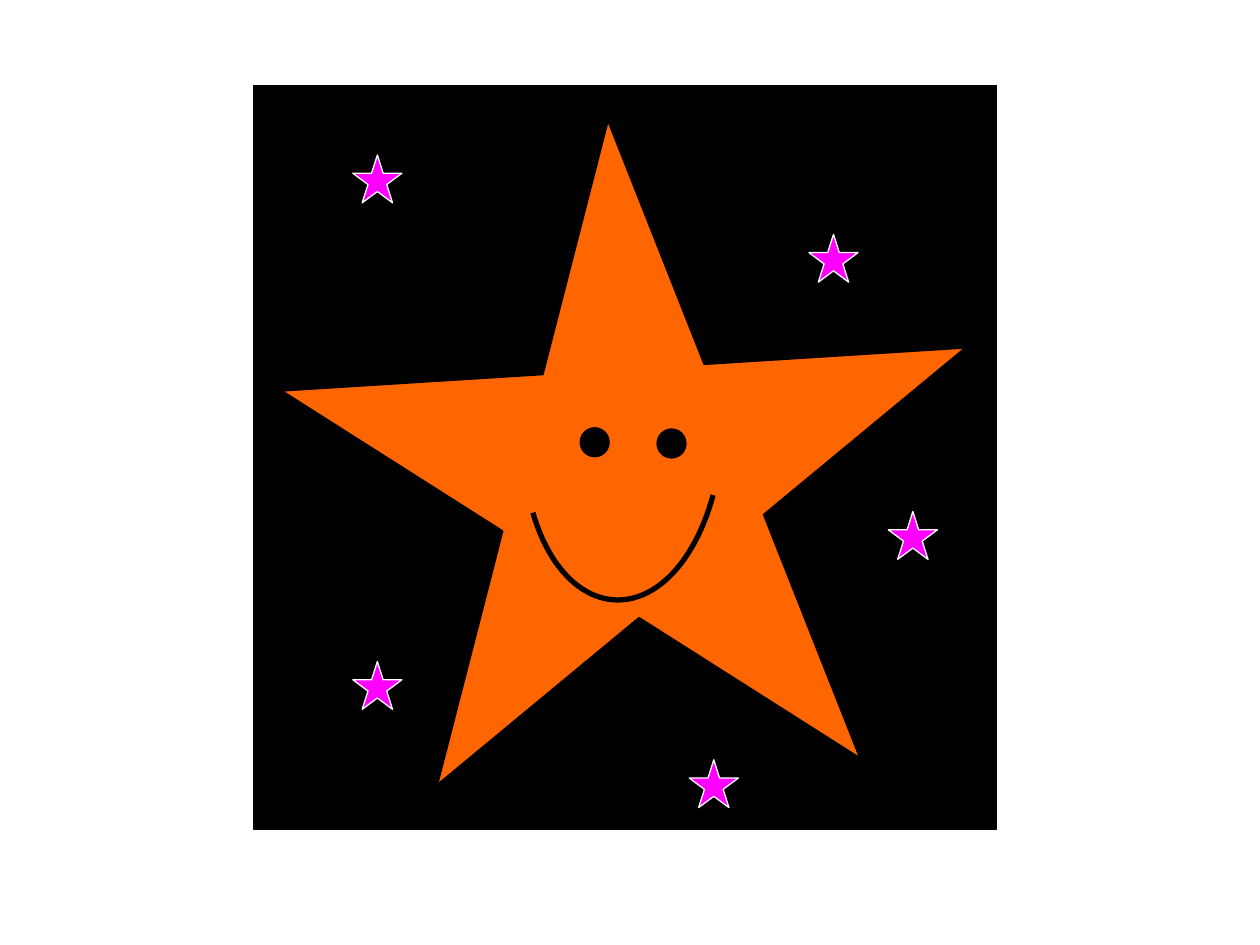
"""Build a slide with a smiling orange star among small pink stars."""
import pptx
import pptx.dml.color
import pptx.enum.shapes
import pptx.util

Inches = pptx.util.Inches
SHAPE = pptx.enum.shapes.MSO_SHAPE

COLORS = {"night": "000000", "star": "FF6600", "twinkle": "FF00FF", "edge": "FFFFFF"}
SKY = (2.01, 0.68, 5.9, 5.9)
BIG_STAR = (2.02, 1.16, 5.44, 5.17)
BIG_STAR_TURN = 284.4
EYE_SIZE = 0.24
EYES = [(5.21, 3.4), (4.6, 3.39)]
SMILE_CURVES = [
    [(5.66, 3.93), (5.53, 4.41), (5.26, 4.73), (4.95, 4.76)],
    [(4.95, 4.76), (4.64, 4.79), (4.36, 4.52), (4.23, 4.07)],
]
SMILE_STEPS = 24
TWINKLE_SIZE = (0.39, 0.38)
TWINKLES = [(6.42, 1.86), (2.8, 1.23), (2.8, 5.25), (5.47, 6.03), (7.05, 4.06)]


def color(name):
    return pptx.dml.color.RGBColor.from_string(COLORS[name])


def style(shape, fill=None, line=None, width=0.75):
    shape.shadow.inherit = False
    if fill:
        shape.fill.solid()
        shape.fill.fore_color.rgb = color(fill)
    else:
        shape.fill.background()
    if line:
        shape.line.color.rgb = color(line)
        shape.line.width = pptx.util.Pt(width)
    else:
        shape.line.fill.background()


def add_figure(shapes, kind, place, **look):
    figure = shapes.add_shape(kind, *map(Inches, place))
    style(figure, **look)
    return figure


def curve_point(curve, t):
    weights = ((1 - t) ** 3, 3 * t * (1 - t) ** 2, 3 * t**2 * (1 - t), t**3)
    return tuple(
        Inches(sum(w * p[axis] for w, p in zip(weights, curve))) for axis in (0, 1)
    )


def add_smile(shapes):
    points = [
        curve_point(curve, step / SMILE_STEPS)
        for curve in SMILE_CURVES
        for step in range(1, SMILE_STEPS + 1)
    ]
    builder = shapes.build_freeform(*curve_point(SMILE_CURVES[0], 0))
    builder.add_line_segments(points, close=False)
    style(builder.convert_to_shape(), line="night", width=3)


def main():
    deck = pptx.Presentation()
    deck.slide_width, deck.slide_height = Inches(10), Inches(7.5)
    page = deck.slides.add_slide(deck.slide_layouts[6])

    add_figure(page.shapes, SHAPE.RECTANGLE, SKY, fill="night", line="night")

    character = page.shapes.add_group_shape().shapes
    big_star = add_figure(
        character, SHAPE.STAR_5_POINT, BIG_STAR, fill="star", line="night", width=1
    )
    big_star.rotation = BIG_STAR_TURN
    add_smile(character)
    for eye in EYES:
        add_figure(character, SHAPE.OVAL, (*eye, EYE_SIZE, EYE_SIZE), fill="night")

    for corner in TWINKLES:
        place = (*corner, *TWINKLE_SIZE)
        add_figure(page.shapes, SHAPE.STAR_5_POINT, place, fill="twinkle", line="edge")

    deck.save("out.pptx")


if __name__ == "__main__":
    main()
